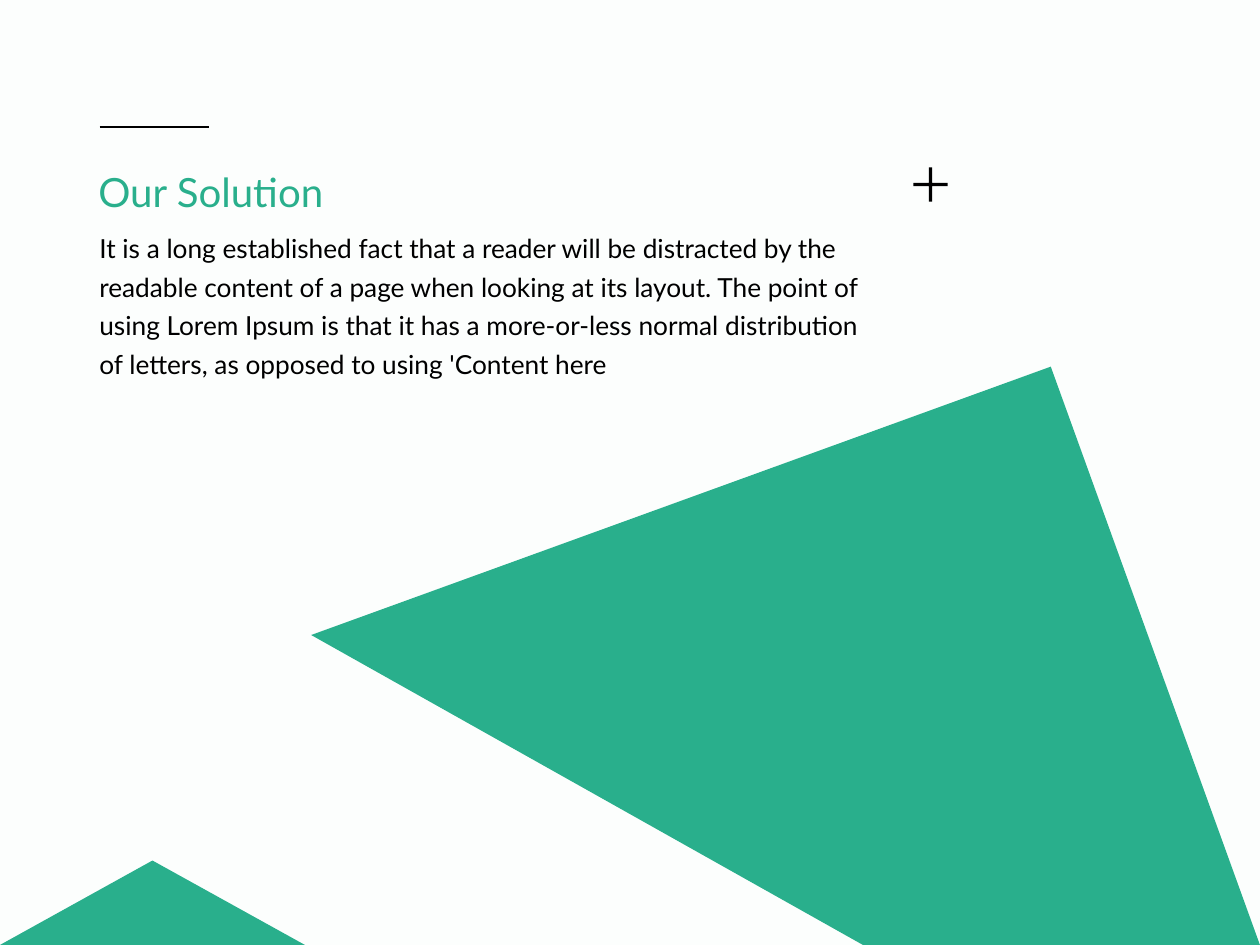
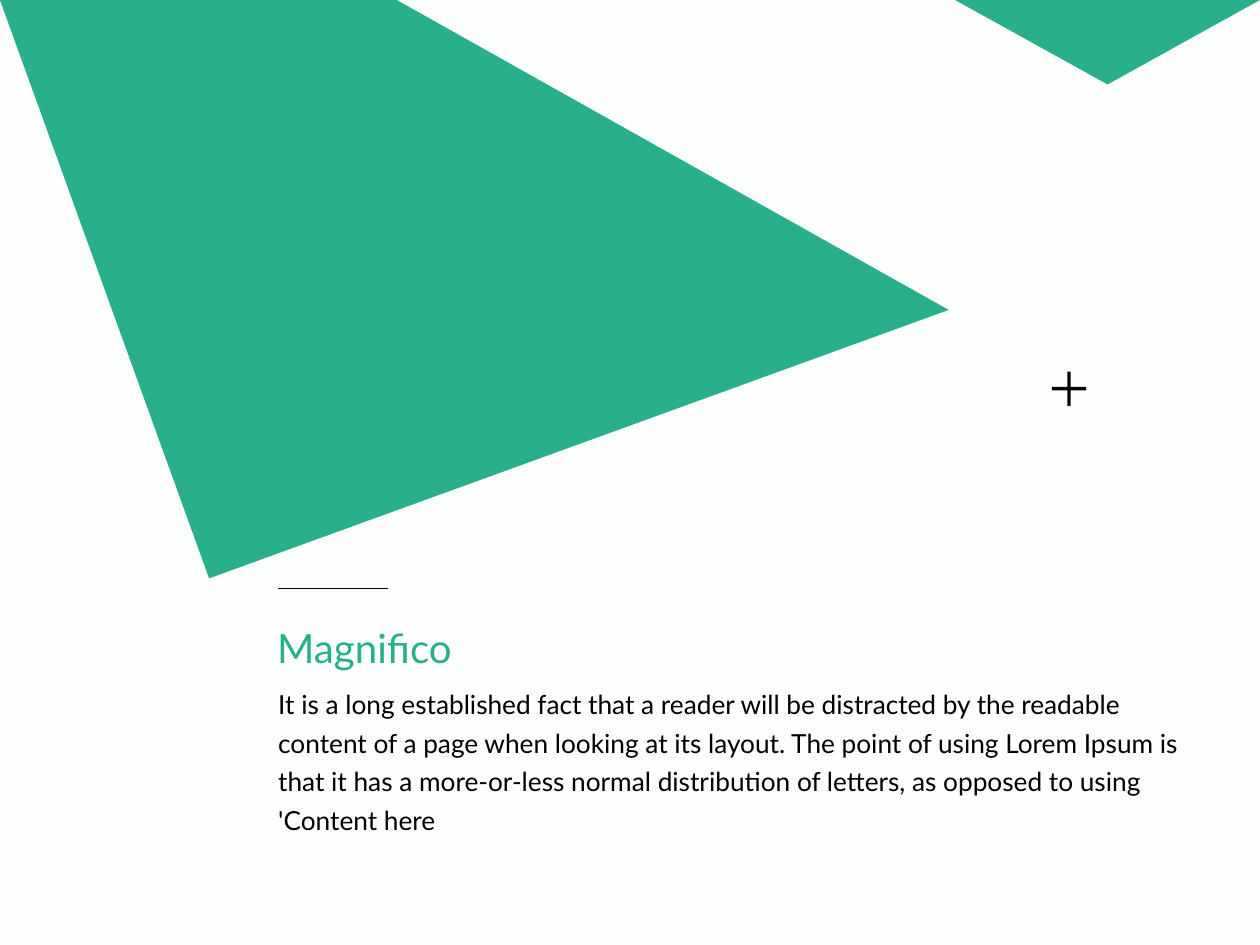
import pptx
import pptx.util
import pptx.dml.color
import pptx.enum.shapes
import pptx.enum.text
import pptx.oxml

BODY = (
    "It is a long established fact that a reader will be distracted by the "
    "readable content of a page when looking at its layout. The point of using "
    "Lorem Ipsum is that it has a more-or-less normal distribution of letters, "
    "as opposed to using 'Content here"
)

# Content: text is (left, title top, width), rule is its height, plus is its corner
SLIDES = [
    dict(title="Our Solution", body=BODY, text=(0.69, 1.28, 6.31),
         rule=1.01, plus=(7.2, 1.28), turned=False),
    dict(title="Magnifico", body=BODY, text=(2.11, 4.9, 7.39),
         rule=4.67, plus=(8.3, 2.9), turned=True),
]

THEME = dict(font="Lato", back="FCFEFD", accent="29AF8C", ink="000000",
             title_size=23, body_size=15, body_leading=22, rule_weight=1)

# Shared geometry in inches
WIDTH, HEIGHT = 10, 7.5
KITE = [(WIDTH, HEIGHT), (6.85, HEIGHT), (2.47, 5.04), (8.34, 2.91)]
PEAK = (2.42, 0.67)
TITLE_SIZE = (2.25, 0.49)
TITLE_SHIFT = -0.01
BODY_DROP, BODY_HEIGHT = 0.46, 1.3
RULE_INDENT, RULE_LENGTH = 0.1, 0.87
PLUS_SIZE, PLUS_STROKE = 0.37, 0.071

Inches = pptx.util.Inches
Pt = pptx.util.Pt
SHAPE = pptx.enum.shapes.MSO_SHAPE


def rgb(name):
    return pptx.dml.color.RGBColor.from_string(THEME[name])


def paint(sp, colour):
    sp.shadow.inherit = False
    sp.fill.solid()
    sp.fill.fore_color.rgb = rgb(colour)
    sp.line.fill.background()


def write(sp, text, size, colour):
    tf = sp.text_frame
    tf.word_wrap = True
    tf.auto_size = pptx.enum.text.MSO_AUTO_SIZE.NONE
    tf.vertical_anchor = pptx.enum.text.MSO_ANCHOR.TOP
    tf.text = text
    p = tf.paragraphs[0]
    p.alignment = pptx.enum.text.PP_ALIGN.LEFT
    p.font.name = THEME["font"]
    p.font.size = Pt(THEME[size])
    p.font.color.rgb = rgb(colour)
    return p


def add_backdrop(s, turned):
    """Kite and peak at the slide's foot, or turned half round at its head."""
    corners = [(WIDTH - x, HEIGHT - y) if turned else (x, y) for x, y in KITE]
    points = [(Inches(x), Inches(y)) for x, y in corners]
    outline = s.shapes.build_freeform(*points[0])
    outline.add_line_segments(points[1:], close=True)
    paint(outline.convert_to_shape(), "accent")

    w, h = PEAK
    left, top = (WIDTH - w, 0) if turned else (0, HEIGHT - h)
    peak = s.shapes.add_shape(SHAPE.ISOSCELES_TRIANGLE, Inches(left),
                              Inches(top), Inches(w), Inches(h))
    peak.rotation = 180 if turned else 0
    paint(peak, "accent")


def add_text(s, title, body, left, top, width):
    sp = s.shapes.title
    sp.left, sp.top = Inches(left + TITLE_SHIFT), Inches(top)
    sp.width, sp.height = map(Inches, TITLE_SIZE)
    write(sp, title, "title_size", "accent")

    sp = s.shapes.add_textbox(Inches(left), Inches(top + BODY_DROP),
                              Inches(width), Inches(BODY_HEIGHT))
    p = write(sp, body, "body_size", "ink")
    p.line_spacing = Pt(THEME["body_leading"])


def add_rule(s, left, y):
    rule = s.shapes.add_connector(
        pptx.enum.shapes.MSO_CONNECTOR.STRAIGHT, Inches(left), Inches(y),
        Inches(left + RULE_LENGTH), Inches(y))
    rule.line.color.rgb = rgb("ink")
    rule.line.width = Pt(THEME["rule_weight"])
    rule._element.spPr.append(pptx.oxml.parse_xml(
        '<a:effectLst xmlns:a="http://schemas.openxmlformats.org/drawingml/2006/main"/>'))


def add_plus(s, left, top):
    plus = s.shapes.add_shape(SHAPE.MATH_PLUS, Inches(left), Inches(top),
                              Inches(PLUS_SIZE), Inches(PLUS_SIZE))
    plus.adjustments[0] = PLUS_STROKE
    paint(plus, "ink")


def main():
    prs = pptx.Presentation()
    prs.slide_width, prs.slide_height = Inches(WIDTH), Inches(HEIGHT)
    title_only = prs.slide_layouts.get_by_name("Title Only")
    for item in SLIDES:
        s = prs.slides.add_slide(title_only)
        s.background.fill.solid()
        s.background.fill.fore_color.rgb = rgb("back")
        add_backdrop(s, item["turned"])
        add_text(s, item["title"], item["body"], *item["text"])
        add_rule(s, item["text"][0] + RULE_INDENT, item["rule"])
        add_plus(s, *item["plus"])
    prs.save("out.pptx")


if __name__ == "__main__":
    main()
